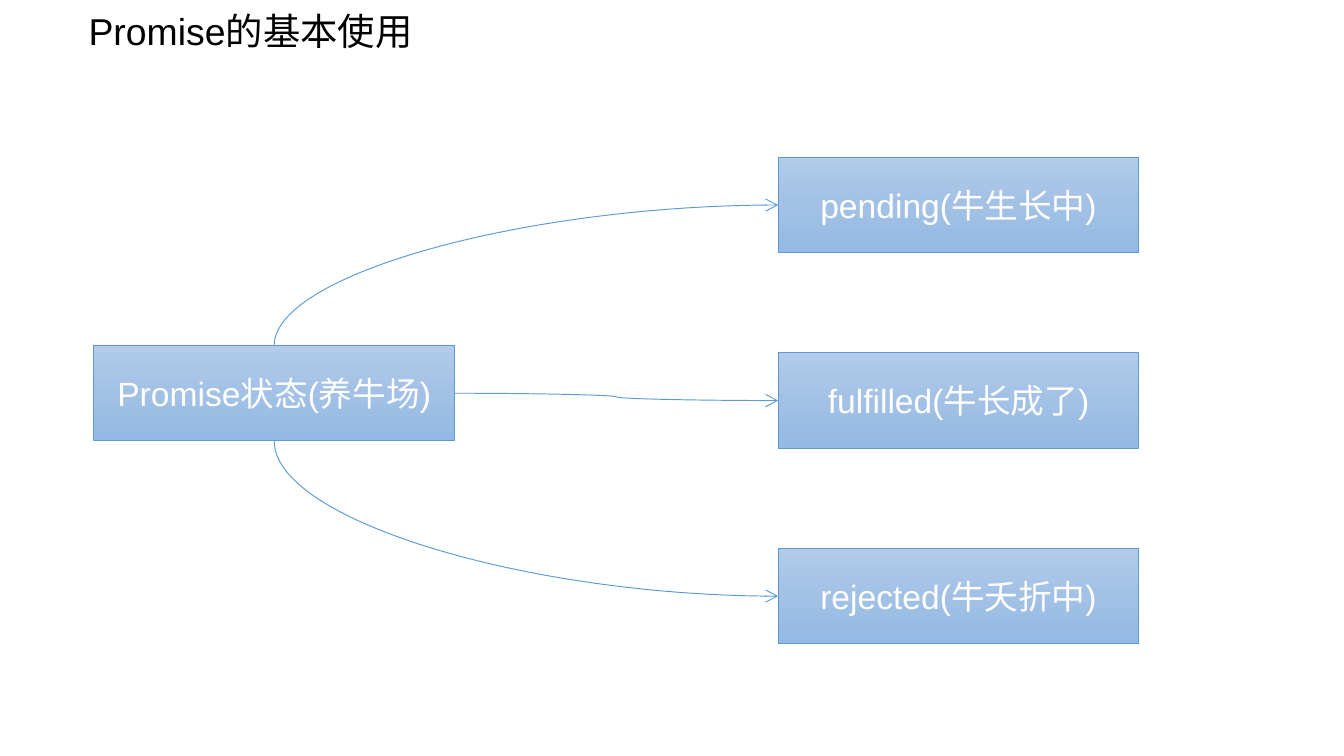
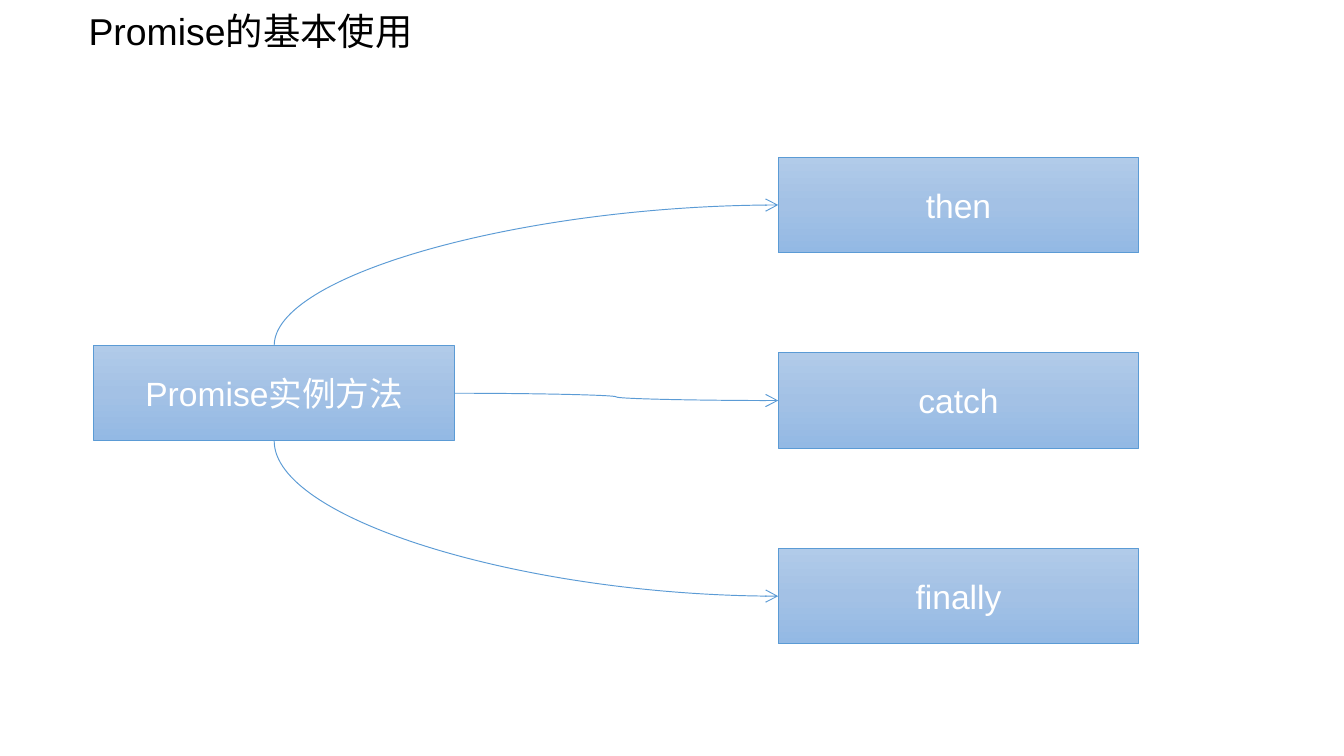
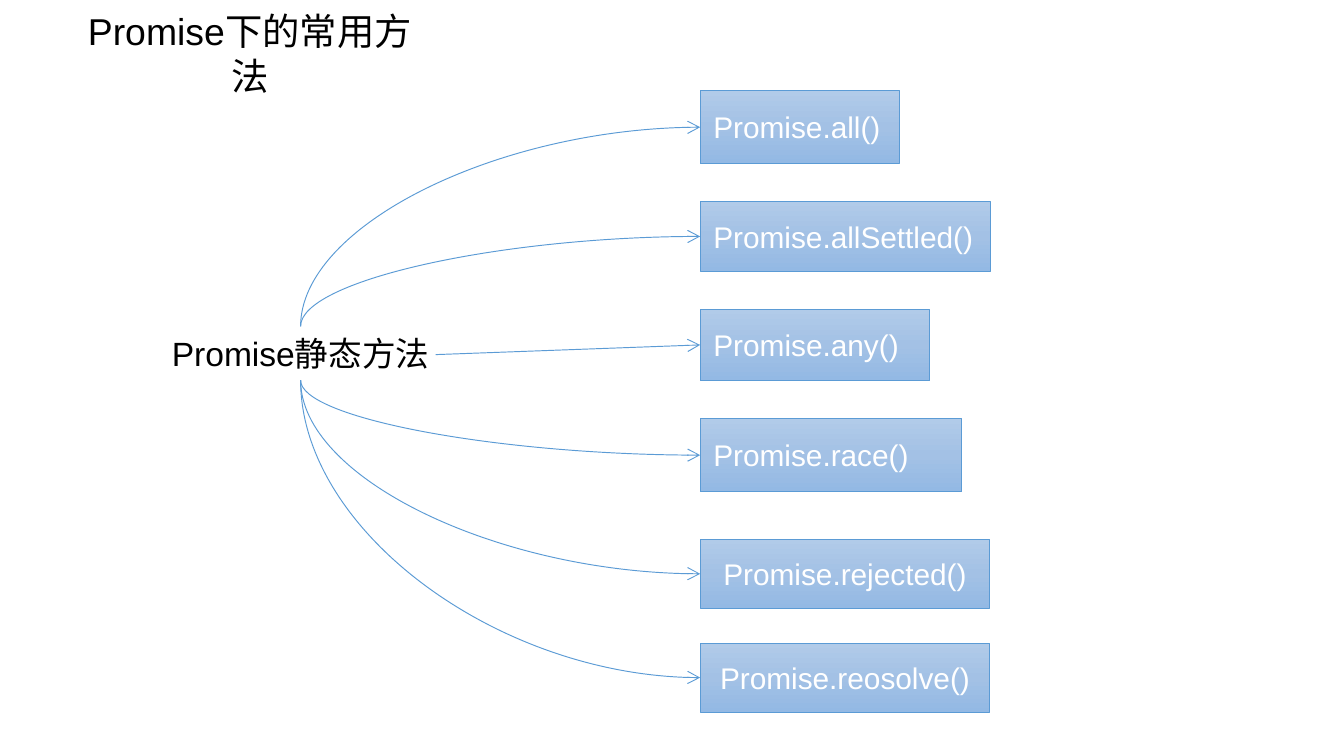
from lxml.etree import SubElement
from pptx import Presentation
from pptx.dml.color import RGBColor
from pptx.enum.shapes import MSO_CONNECTOR, MSO_SHAPE
from pptx.enum.text import MSO_ANCHOR, MSO_AUTO_SIZE, PP_ALIGN
from pptx.oxml.ns import qn
from pptx.util import Pt

COLORS = {
    "text": "000000",
    "box_text": "FFFFFF",
    "line": "5B9BD5",
    "top": "B1CBE9",
    "middle": "A3C1E5",
    "bottom": "93B9E4",
}
GRADIENT = [(0, "top"), (50, "middle"), (100, "bottom")]
FONT = "Arial"
TOP, LEFT, BOTTOM, RIGHT = range(4)


class Deck:
    def __init__(self):
        self.presentation = Presentation()
        self.presentation.slide_width = Pt(720)
        self.presentation.slide_height = Pt(405)
        self.slide = None

    def color(self, name):
        return RGBColor.from_string(COLORS[name])

    def add_slide(self, title, left, width):
        self.slide = self.presentation.slides.add_slide(self.presentation.slide_layouts[6])
        self.add_label(title, left, 0.7, width, 31.4, 20)

    def add_text(self, shape, text, size, color, alignment):
        shape.text_frame.word_wrap = True
        paragraph = shape.text_frame.paragraphs[0]
        paragraph.alignment = alignment
        run = paragraph.add_run()
        run.text = text
        run.font.name = FONT
        run.font.size = Pt(size)
        run.font.color.rgb = self.color(color)

    def add_label(self, text, left, top, width, height, size):
        shape = self.slide.shapes.add_textbox(Pt(left), Pt(top), Pt(width), Pt(height))
        self.add_text(shape, text, size, "text", PP_ALIGN.CENTER)
        shape.text_frame.auto_size = MSO_AUTO_SIZE.SHAPE_TO_FIT_TEXT
        return shape

    def add_box(self, text, left, top, width, height, size, alignment=PP_ALIGN.CENTER):
        shape = self.slide.shapes.add_shape(
            MSO_SHAPE.RECTANGLE, Pt(left), Pt(top), Pt(width), Pt(height))
        shape.shadow.inherit = False
        self.fill_gradient(shape)
        self.style_line(shape.line)
        self.add_text(shape, text, size, "box_text", alignment)
        shape.text_frame.vertical_anchor = MSO_ANCHOR.MIDDLE
        return shape

    def fill_gradient(self, shape):
        shape.fill.gradient()
        shape.fill.gradient_angle = 270
        stops = shape._element.spPr.find(qn("a:gradFill")).find(qn("a:gsLst"))
        for stop in list(stops):
            stops.remove(stop)
        for position, name in GRADIENT:
            stop = SubElement(stops, qn("a:gs"), pos=str(position * 1000))
            SubElement(stop, qn("a:srgbClr"), val=COLORS[name])

    def style_line(self, line):
        line.color.rgb = self.color("line")
        line.width = Pt(0.5)

    def add_arrow(self, kind, start=(0, 0), end=(0, 0)):
        connector = self.slide.shapes.add_connector(
            kind, *(Pt(value) for value in (*start, *end)))
        self.style_line(connector.line)
        properties = connector._element.spPr
        SubElement(properties.find(qn("a:ln")), qn("a:tailEnd"), type="arrow")
        SubElement(properties, qn("a:effectLst"))
        return connector

    def add_curve(self, source, site, target):
        connector = self.add_arrow(MSO_CONNECTOR.CURVE)
        connector.begin_connect(source, site)
        connector.end_connect(target, LEFT)
        if site != RIGHT:
            self.bend_quarter(connector, site)

    def bend_quarter(self, connector, site):
        across, down = connector.width, connector.height
        center_x = connector.left + across // 2
        center_y = connector.top + down // 2
        connector.left, connector.top = center_x - down // 2, center_y - across // 2
        connector.width, connector.height = down, across
        properties = connector._element.spPr
        frame = properties.find(qn("a:xfrm"))
        frame.set("rot", str((270 if site == TOP else 90) * 60000))
        frame.set("flipV", "0" if site == TOP else "1")
        properties.find(qn("a:prstGeom")).set("prst", "curvedConnector2")

    def add_three_branches(self, root_text, branch_texts):
        self.add_slide("Promise的基本使用", 40.3, 187.9)
        root = self.add_box(root_text, 50.3, 185.1, 193.2, 51.2, 18)
        upper, middle, lower = [
            self.add_box(text, 416.9, 84.2 + 104.8 * row, 193.2, 51.2, 18)
            for row, text in enumerate(branch_texts)]
        for site, target in ((TOP, upper), (BOTTOM, lower), (RIGHT, middle)):
            self.add_curve(root, site, target)

    def add_static_methods(self, methods):
        self.add_slide("Promise下的常用方法", 30.2, 207.4)
        root = self.add_label("Promise静态方法", 69.6, 174.8, 182.9, 28.9, 18)
        boxes = [
            self.add_box(f"Promise.{name}()", 375.1, top, width, height, 16, alignment)
            for name, top, width, height, alignment in methods]
        for site, targets in ((TOP, boxes[:2]), (BOTTOM, boxes[3:])):
            for target in targets:
                self.add_curve(root, site, target)
        arrow = self.add_arrow(MSO_CONNECTOR.STRAIGHT, start=(233.4, 190))
        arrow.end_connect(boxes[2], LEFT)


def main():
    deck = Deck()
    deck.add_three_branches(
        "Promise状态(养牛场)",
        ["pending(牛生长中)", "fulfilled(牛长成了)", "rejected(牛夭折中)"])
    deck.add_three_branches("Promise实例方法", ["then", "catch", "finally"])
    deck.add_static_methods([
        ("all", 48.4, 106.8, 39.4, PP_ALIGN.LEFT),
        ("allSettled", 107.9, 155.5, 37.5, PP_ALIGN.LEFT),
        ("any", 165.7, 123, 38.2, PP_ALIGN.LEFT),
        ("race", 224.1, 140.2, 39.4, PP_ALIGN.LEFT),
        ("rejected", 289, 155.2, 36.9, PP_ALIGN.CENTER),
        ("reosolve", 344.6, 155.2, 36.9, PP_ALIGN.CENTER),
    ])
    deck.presentation.save("out.pptx")


if __name__ == "__main__":
    main()
